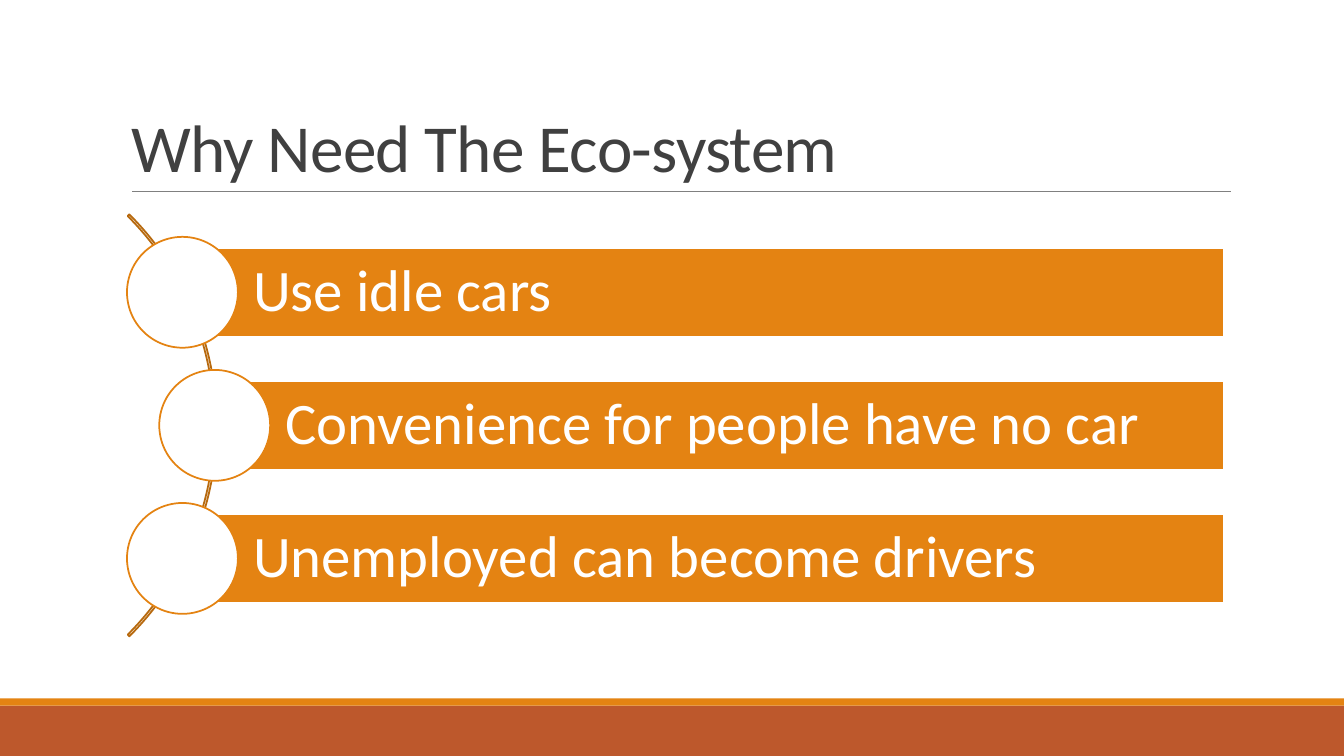
from dataclasses import dataclass

from lxml.etree import SubElement
from pptx import Presentation
from pptx.dml.color import RGBColor
from pptx.enum.shapes import MSO_CONNECTOR, MSO_SHAPE
from pptx.enum.text import MSO_ANCHOR, MSO_AUTO_SIZE, PP_ALIGN
from pptx.oxml.ns import qn
from pptx.util import Inches, Pt


@dataclass(frozen=True)
class Theme:
    font: str = "Calibri"
    title_size: float = 48
    reason_size: float = 42
    outline: float = 1.25
    hairline: float = 0.5
    white: str = "FFFFFF"
    ink: str = "404040"
    rule: str = "808080"
    orange: str = "E48312"
    dark_orange: str = "B7690E"
    rust: str = "BD582C"


def write_text(frame, text, *, font, size, color, line_spacing,
               anchor, insets, tracking=None):
    """Fill a text frame; insets are left, top, right, bottom in inches."""
    frame.word_wrap = True
    frame.auto_size = MSO_AUTO_SIZE.NONE
    frame.vertical_anchor = anchor
    (frame.margin_left, frame.margin_top,
     frame.margin_right, frame.margin_bottom) = map(Inches, insets)
    paragraph = frame.paragraphs[0]
    paragraph.alignment = PP_ALIGN.LEFT
    paragraph.line_spacing = line_spacing
    run = paragraph.add_run()
    run.text = text
    run.font.name = font
    run.font.size = Pt(size)
    run.font.color.rgb = RGBColor.from_string(color)
    if tracking is not None:
        run.font._element.set("spc", str(round(tracking * 100)))


class SlideBuilder:
    def __init__(self, slide, theme):
        self.slide = slide
        self.theme = theme

    def title(self, text, left, top, width, height):
        title = self.slide.shapes.title
        title.left, title.top = Inches(left), Inches(top)
        title.width, title.height = Inches(width), Inches(height)
        write_text(title.text_frame, text, font=self.theme.font,
                   size=self.theme.title_size, color=self.theme.ink,
                   line_spacing=0.85, anchor=MSO_ANCHOR.BOTTOM,
                   insets=(0.1, 0.05, 0.1, 0.05), tracking=-0.5)

    def shape(self, kind, left, top, width, height, fill=None, line=None):
        shape = self.slide.shapes.add_shape(
            kind, Inches(left), Inches(top), Inches(width), Inches(height))
        shape.shadow.inherit = False
        if fill:
            shape.fill.solid()
            shape.fill.fore_color.rgb = RGBColor.from_string(fill)
        else:
            shape.fill.background()
        if line:
            shape.line.color.rgb = RGBColor.from_string(line)
            shape.line.width = Pt(self.theme.outline)
        else:
            shape.line.fill.background()
        return shape

    def horizontal_rule(self, left, right, y):
        rule = self.slide.shapes.add_connector(
            MSO_CONNECTOR.STRAIGHT, Inches(left), Inches(y), Inches(right), Inches(y))
        rule.line.color.rgb = RGBColor.from_string(self.theme.rule)
        rule.line.width = Pt(self.theme.hairline)
        SubElement(rule._element.spPr, qn("a:effectLst"))

    def arc(self, left, top, diameter, adjustments):
        arc = self.shape(MSO_SHAPE.BLOCK_ARC, left, top, diameter, diameter,
                         line=self.theme.dark_orange)
        for index, value in enumerate(adjustments):
            arc.adjustments[index] = value

    def reason(self, text, left, top, right, height, circle):
        """Draw a bar with a circle centred on its left edge."""
        theme = self.theme
        bar = self.shape(MSO_SHAPE.RECTANGLE, left, top, right - left, height,
                         fill=theme.orange, line=theme.white)
        write_text(bar.text_frame, text, font=theme.font,
                   size=theme.reason_size, color=theme.white,
                   line_spacing=0.9, anchor=MSO_ANCHOR.MIDDLE,
                   insets=(0.7, 0.12, 0.12, 0.12))
        self.shape(MSO_SHAPE.OVAL, left - circle / 2, top + (height - circle) / 2,
                   circle, circle, fill=theme.white, line=theme.orange)


def main():
    presentation = Presentation()
    presentation.slide_width = Inches(13.33)
    presentation.slide_height = Inches(7.5)
    theme = Theme()
    slide = presentation.slides.add_slide(presentation.slide_layouts[5])
    builder = SlideBuilder(slide, theme)

    builder.shape(MSO_SHAPE.RECTANGLE, 0, 7, 13.33, 0.5, fill=theme.rust)
    builder.shape(MSO_SHAPE.RECTANGLE, 0, 6.93, 13.33, 0.07, fill=theme.orange)
    builder.horizontal_rule(1.31, 12.21, 1.9)
    builder.title("Why Need The Eco-system", 1.2, 0.31, 11, 1.59)

    builder.arc(-3.77, 1.26, 5.92, (189, 27, 0.004))
    reasons = [
        ("Use idle cars", 1.81),
        ("Convenience for people have no car", 2.13),
        ("Unemployed can become drivers", 1.81),
    ]
    for row, (text, left) in enumerate(reasons):
        builder.reason(text, left, top=2.46 + row * 1.32, right=12.14,
                       height=0.88, circle=1.1)

    presentation.save("out.pptx")


if __name__ == "__main__":
    main()
